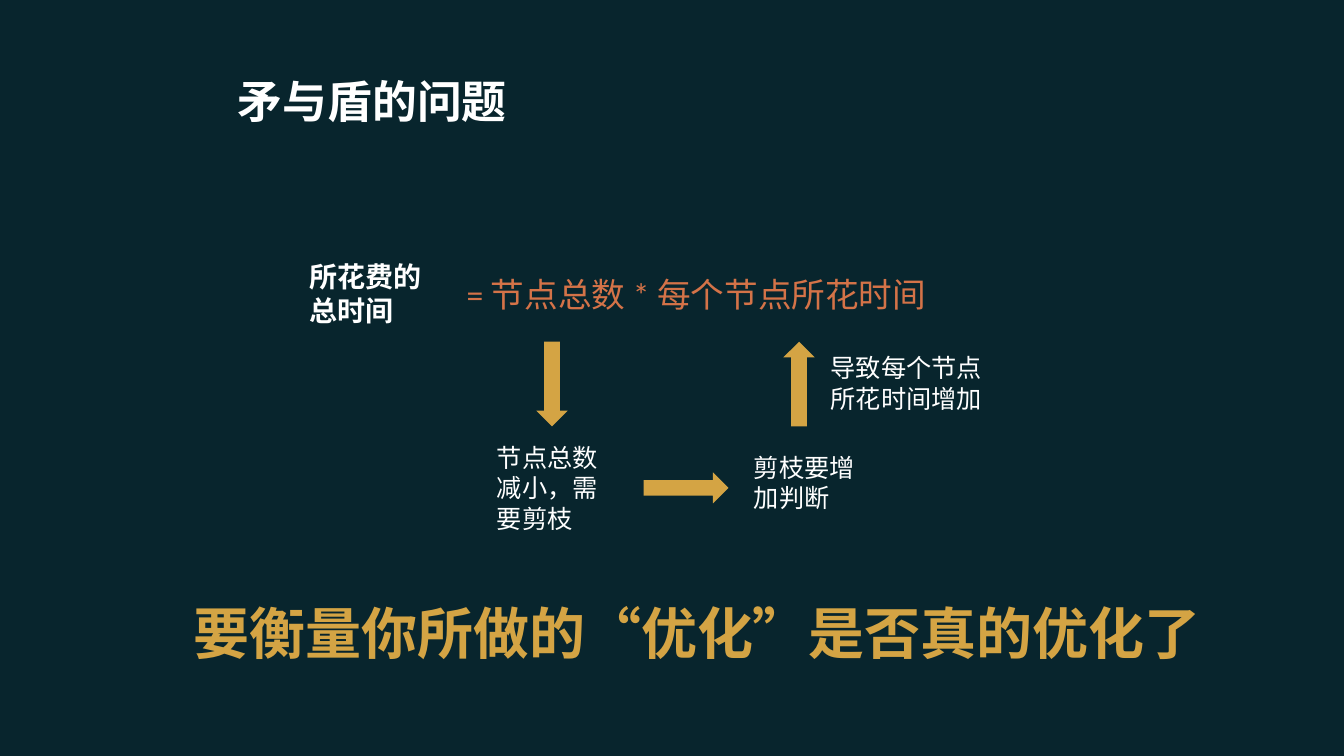
from lxml import etree
from pptx import Presentation, util as u
from pptx.dml.color import RGBColor
from pptx.enum import lang, shapes, text
from pptx.oxml import ns

COLORS = {"back": "08252D", "white": "FFFFFF", "orange": "D47348", "gold": "D4A444"}
LATIN, CJK = "Calibri", "Noto Sans CJK SC"
ARROW_W, ARROW_H = 0.31, 0.84


def rgb(name):
    return RGBColor.from_string(COLORS[name])


def add_text(s, box, words, size, color="white", font=LATIN, bold=False,
             anchor=text.MSO_ANCHOR.TOP):
    tf = s.shapes.add_textbox(*map(u.Inches, box)).text_frame
    tf.word_wrap = True
    tf.vertical_anchor = anchor
    tf.text = words
    r = tf.paragraphs[0].runs[0]
    r.font.size = u.Pt(size)
    r.font.bold = bold
    r.font.color.rgb = rgb(color)
    r.font.name = font
    r.font.language_id = lang.MSO_LANGUAGE_ID.SIMPLIFIED_CHINESE
    ea = etree.SubElement(r.font._element, ns.qn("a:ea"))
    ea.set("typeface", CJK)


def add_arrow(s, left, top, rotation=0):
    sp = s.shapes.add_shape(shapes.MSO_SHAPE.DOWN_ARROW,
                            *map(u.Inches, (left, top, ARROW_W, ARROW_H)))
    sp.rotation = rotation
    sp.shadow.inherit = False
    sp.fill.solid()
    sp.fill.fore_color.rgb = rgb("gold")
    sp.line.fill.background()


def add_title(s, box):
    add_text(s, box, "矛与盾的问题", 32, bold=True, anchor=text.MSO_ANCHOR.MIDDLE)


def add_formula(s, left, top):
    add_text(s, (left, top, 1.39, 0.77), "所花费的总时间", 20, font=CJK, bold=True)
    add_text(s, (left + 1.56, top + 0.14, 5.4, 0.5),
             "= 节点总数 * 每个节点所花时间", 24, "orange")


def add_cycle(s, left, top):
    arrows = [(0.49, 0, 0), (1.82, 1.03, 270), (2.94, 0, 180)]
    notes = [
        (0, 0.95, 1.4, 1.01, "节点总数减小，需要剪枝"),
        (2.55, 1.05, 1.4, 0.71, "剪枝要增加判断"),
        (3.31, 0.06, 1.79, 0.71, "导致每个节点所花时间增加"),
    ]
    for x, y, rotation in arrows:
        add_arrow(s, left + x, top + y, rotation)
    for x, y, w, h, words in notes:
        add_text(s, (left + x, top + y, w, h), words, 18)


def add_conclusion(s, box):
    add_text(s, box, "要衡量你所做的“优化”是否真的优化了", 40, "gold", CJK, True)


def main():
    prs = Presentation()
    prs.slide_width, prs.slide_height = u.Inches(13.33), u.Inches(7.5)
    s = prs.slides.add_slide(prs.slide_layouts[6])
    s.background.fill.solid()
    s.background.fill.fore_color.rgb = rgb("back")
    add_title(s, (2.26, 0.6, 7.95, 0.79))
    add_formula(s, 2.97, 2.53)
    add_cycle(s, 4.83, 3.39)
    add_conclusion(s, (1.82, 5.89, 10.82, 0.77))
    prs.save("out.pptx")


if __name__ == "__main__":
    main()
